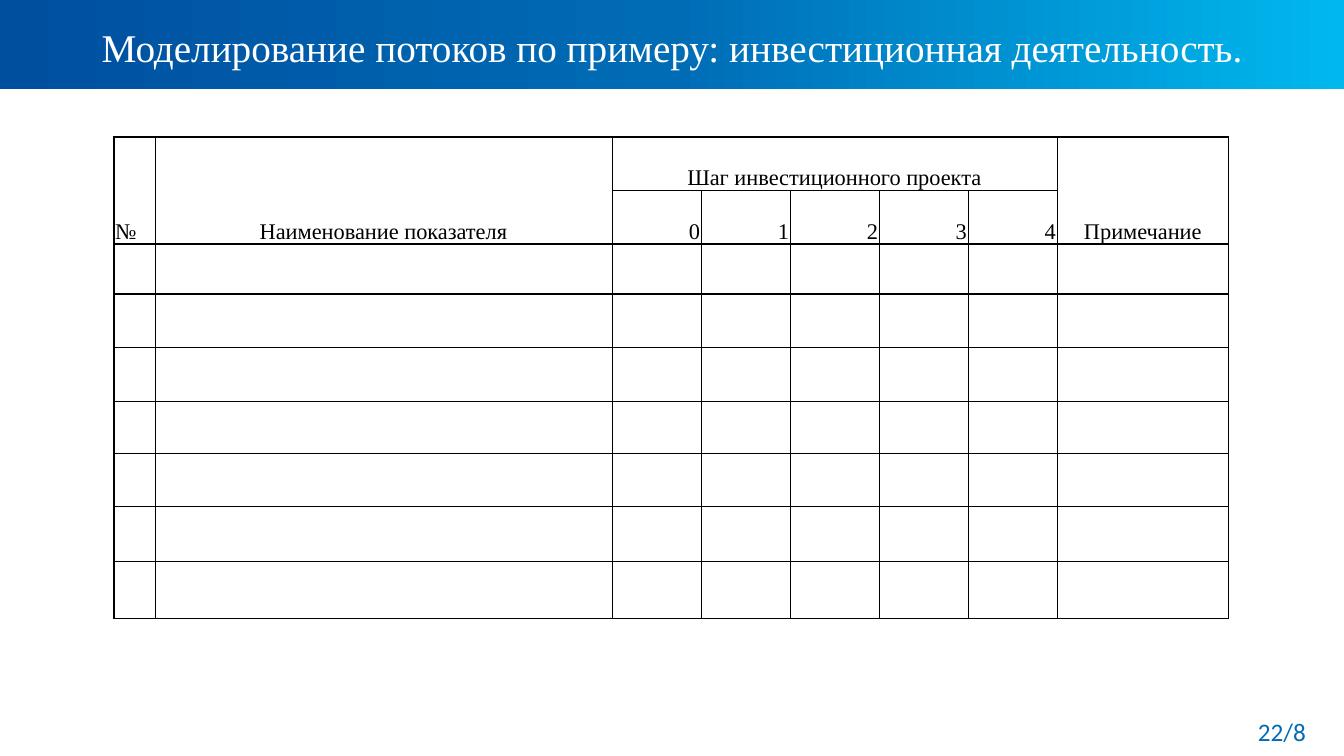
import lxml.etree
import pptx
import pptx.dml.color
import pptx.enum.shapes
import pptx.enum.text
import pptx.oxml.ns
import pptx.util

PX = 914400 / 100.8
ALIGN = pptx.enum.text.PP_ALIGN
ANCHOR = pptx.enum.text.MSO_ANCHOR
qn = pptx.oxml.ns.qn

COLUMNS = [41, 457] + [89] * 5 + [172]
ROWS = [53, 54, 50, 54, 53, 52, 54, 55, 57]
THIN_ROW_LINES = {1, 5, 6}
MERGES = [(0, 0, 1, 0), (0, 1, 1, 1), (0, 2, 0, 6), (0, 7, 1, 7)]
HEADINGS = {
    (0, 0): ("№", ALIGN.LEFT),
    (0, 1): ("Наименование показателя", ALIGN.CENTER),
    (0, 2): ("Шаг инвестиционного проекта", ALIGN.CENTER),
    (0, 7): ("Примечание", ALIGN.CENTER),
    **{(1, 2 + step): (str(step), ALIGN.RIGHT) for step in range(5)},
}


def px(n):
    return pptx.util.Emu(round(n * PX))


def rgb(color):
    return pptx.dml.color.RGBColor.from_string(color)


def assign(target, values):
    for name, value in values.items():
        setattr(target, name, value)


class SlideBuilder:
    heading_font = "Times New Roman"
    number_font = "Calibri"
    accent = "006CB6"

    def __init__(self, prs):
        self.slide = prs.slides.add_slide(prs.slide_layouts[6])

    def add_text(self, p, text, size, font, color, align):
        p.alignment = align
        r = p.add_run()
        r.text = text
        assign(r.font, {"size": pptx.util.Pt(size), "name": font})
        r.font.color.rgb = rgb(color)

    def gradient_band(self, x, y, w, h, stops):
        """Draw a rectangle with a left-to-right gradient of (percent, colour) stops."""
        sp = self.slide.shapes.add_shape(
            pptx.enum.shapes.MSO_SHAPE.RECTANGLE, px(x), px(y), px(w), px(h))
        sp.shadow.inherit = False
        sp.line.fill.background()
        sp.fill.gradient()
        sp.fill.gradient_angle = 0
        stop_list = sp._element.spPr.find(".//" + qn("a:gsLst"))
        for old in list(stop_list):
            stop_list.remove(old)
        for percent, color in stops:
            gs = lxml.etree.SubElement(stop_list, qn("a:gs"), pos=str(percent * 1000))
            lxml.etree.SubElement(gs, qn("a:srgbClr"), val=color)

    def text(self, x, y, w, h, text, size, font, color, align, top=5):
        tf = self.slide.shapes.add_textbox(px(x), px(y), px(w), px(h)).text_frame
        assign(tf, {"word_wrap": True, "vertical_anchor": ANCHOR.TOP,
                    "margin_left": px(10), "margin_right": px(10),
                    "margin_top": px(top), "margin_bottom": px(5)})
        self.add_text(tf.paragraphs[0], text, size, font, color, align)

    def border(self, cell, side, width):
        ln = lxml.etree.SubElement(
            cell._tc.get_or_add_tcPr(), qn("a:ln" + side), w=str(int(pptx.util.Pt(width))))
        fill = lxml.etree.SubElement(ln, qn("a:solidFill"))
        lxml.etree.SubElement(fill, qn("a:srgbClr"), val="000000")

    def table(self, x, y, columns, rows, merges, headings):
        tbl = self.slide.shapes.add_table(
            len(rows), len(columns), px(x), px(y), px(sum(columns)), px(sum(rows))).table
        assign(tbl, {"first_row": False, "horz_banding": False})
        for column, width in zip(tbl.columns, columns):
            column.width = px(width)
        for row, height in zip(tbl.rows, rows):
            row.height = px(height)
        for top, left, bottom, right in merges:
            tbl.cell(top, left).merge(tbl.cell(bottom, right))
        for i in range(len(rows)):
            for j in range(len(columns)):
                cell = tbl.cell(i, j)
                if not cell.is_spanned:
                    text, align = headings.get((i, j), ("", ALIGN.LEFT))
                    self.cell(cell, i, j, len(columns), text, align)

    def cell(self, cell, i, j, column_count, text, align):
        right, bottom = j + cell.span_width, i + cell.span_height
        for side, line in (("L", j), ("R", right)):
            self.border(cell, side, 1 if line in (0, column_count) else 0.5)
        for side, line in (("T", i), ("B", bottom)):
            self.border(cell, side, 0.5 if line in THIN_ROW_LINES else 1)
        cell.fill.solid()
        cell.fill.fore_color.rgb = rgb("FFFFFF")
        assign(cell, {"vertical_anchor": ANCHOR.BOTTOM, "margin_left": px(1),
                      "margin_right": px(1), "margin_top": px(1), "margin_bottom": 0})
        p = cell.text_frame.paragraphs[0]
        if text:
            self.add_text(p, text, 16, self.heading_font, "000000", align)
        else:
            p.font.size = pptx.util.Pt(16)


def main():
    prs = pptx.Presentation()
    assign(prs, {"slide_width": px(1344), "slide_height": px(756)})
    s = SlideBuilder(prs)
    s.gradient_band(0, 0, 1344, 89, [(0, "004F9F"), (50, s.accent), (100, "00B8EE")])
    s.text(1226, 711, 90, 40, "22/8", 18, s.number_font, s.accent, ALIGN.RIGHT)
    s.text(37, 13, 1270, 77,
           "Моделирование потоков по примеру: инвестиционная деятельность.",
           28, s.heading_font, "FFFFFF", ALIGN.CENTER, top=10)
    s.table(114, 137, COLUMNS, ROWS, MERGES, HEADINGS)
    prs.save("out.pptx")


if __name__ == "__main__":
    main()
